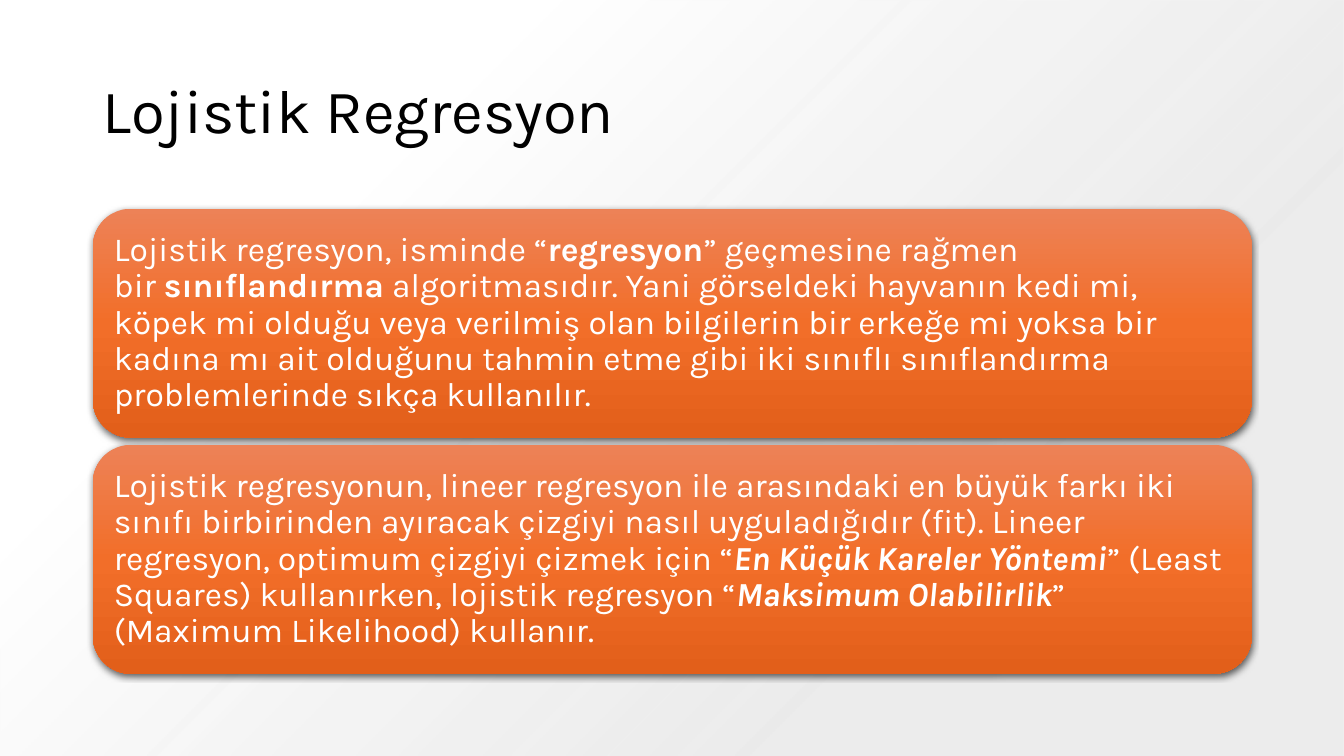
from lxml import etree
from pptx import Presentation
from pptx.dml.color import RGBColor as RGB
from pptx.enum.shapes import MSO_SHAPE as SHAPE
from pptx.enum.text import MSO_ANCHOR as ANCHOR, PP_ALIGN as ALIGN
from pptx.oxml import parse_xml
from pptx.oxml.ns import nsdecls, qn
from pptx.util import Cm, Pt

COLORS = {"ink": "000000", "text": "FFFFFF", "white": "FFFFFF", "grey": "E8E8E8",
          "top": "ED8257", "middle": "F26E29", "bottom": "E25F1A"}
FONT = "Karla"
NBSP = chr(160)
PLAIN, BOLD, BOLD_ITALIC = (False, False), (True, False), (True, True)

CARDS = [
    [("Lojistik regresyon, isminde “", PLAIN),
     ("regresyon", BOLD),
     (f"” geçmesine rağmen bir{NBSP}", PLAIN),
     ("sınıflandırma", BOLD),
     (f"{NBSP}algoritmasıdır. Yani görseldeki hayvanın kedi mi, köpek mi olduğu veya "
      "verilmiş olan bilgilerin bir erkeğe mi yoksa bir kadına mı ait olduğunu "
      "tahmin etme gibi iki sınıflı sınıflandırma problemlerinde sıkça "
      "kullanılır.", PLAIN)],
    [("Lojistik regresyonun, lineer regresyon ile arasındaki en büyük farkı iki "
      "sınıfı birbirinden ayıracak çizgiyi nasıl uyguladığıdır (fit). Lineer "
      "regresyon, optimum çizgiyi çizmek için “", PLAIN),
     ("En Küçük Kareler Yöntemi", BOLD_ITALIC),
     ("” (Least Squares) kullanırken, lojistik regresyon “", PLAIN),
     ("Maksimum Olabilirlik", BOLD_ITALIC),
     ("” (Maximum Likelihood) kullanır.", PLAIN)],
]


def set_gradient(sp, stops, direction):
    """Fill sp with (position %, colour name, opacity %) stops."""
    sp.fill.background()
    gs = "".join(
        f'<a:gs pos="{pos * 1000}"><a:srgbClr val="{COLORS[name]}">'
        f'<a:alpha val="{opacity * 1000}"/></a:srgbClr></a:gs>'
        for pos, name, opacity in stops)
    spPr = sp._element.spPr
    spPr.replace(spPr.find(qn("a:noFill")), parse_xml(
        f'<a:gradFill {nsdecls("a")} rotWithShape="1">'
        f'<a:gsLst>{gs}</a:gsLst>{direction}</a:gradFill>'))


def add_shadow(sp):
    effects = sp._element.spPr.find(qn("a:effectLst"))
    shadow = etree.SubElement(effects, qn("a:outerShdw"), blurRad=str(Pt(4.5)),
                              dist=str(Pt(1.5)), dir="5400000", algn="ctr",
                              rotWithShape="0")
    color = etree.SubElement(shadow, qn("a:srgbClr"), val=COLORS["ink"])
    etree.SubElement(color, qn("a:alpha"), val="63000")


def add_panel(s, shape, box):
    sp = s.shapes.add_shape(shape, *map(Cm, box))
    sp.line.fill.background()
    sp.shadow.inherit = False
    return sp


def format_run(r, size, color, bold=False, italic=False):
    r.font.name, r.font.size = FONT, Pt(size)
    r.font.bold, r.font.italic = bold, italic
    r.font.color.rgb = RGB.from_string(COLORS[color])


def add_background(s, box):
    sp = add_panel(s, SHAPE.RECTANGLE, box)
    set_gradient(sp, [(28, "grey", 84), (74, "white", 100)],
                 '<a:path path="circle"><a:fillToRect l="100000" t="100000"/></a:path>')


def add_title(s, box, text):
    tf = s.shapes.add_textbox(*map(Cm, box)).text_frame
    tf.word_wrap = True
    tf.vertical_anchor = ANCHOR.MIDDLE
    p = tf.paragraphs[0]
    p.text = text
    p.line_spacing = 0.9
    format_run(p.runs[0], 44, "ink")


def add_card(s, box, parts):
    sp = add_panel(s, SHAPE.ROUNDED_RECTANGLE, box)
    set_gradient(sp, [(0, "top", 100), (50, "middle", 100), (100, "bottom", 100)],
                 '<a:lin ang="5400000" scaled="0"/>')
    add_shadow(sp)
    tf = sp.text_frame
    tf.word_wrap = True
    tf.vertical_anchor = ANCHOR.MIDDLE
    tf.margin_left = tf.margin_right = tf.margin_top = tf.margin_bottom = Cm(0.25)
    p = tf.paragraphs[0]
    p.alignment = ALIGN.LEFT
    p.line_spacing = 0.9
    for text, (bold, italic) in parts:
        r = p.add_run()
        r.text = text
        format_run(r, 24, "text", bold, italic)


def add_cards(s, box, cards, gap=0.18):
    """Stack equal cards down the box."""
    left, top, width, height = box
    card_height = (height - gap * (len(cards) - 1)) / len(cards)
    for i, parts in enumerate(cards):
        add_card(s, (left, top + i * (card_height + gap), width, card_height), parts)


def main():
    prs = Presentation()
    prs.slide_width, prs.slide_height = Cm(33.87), Cm(19.05)
    s = prs.slides.add_slide(prs.slide_layouts[6])
    add_background(s, (0, 0, 33.87, 19.05))
    add_title(s, (2.33, 1.01, 29.21, 3.68), "Lojistik Regresyon")
    add_cards(s, (2.34, 5.26, 29.21, 11.72), CARDS)
    prs.save("out.pptx")


if __name__ == "__main__":
    main()
